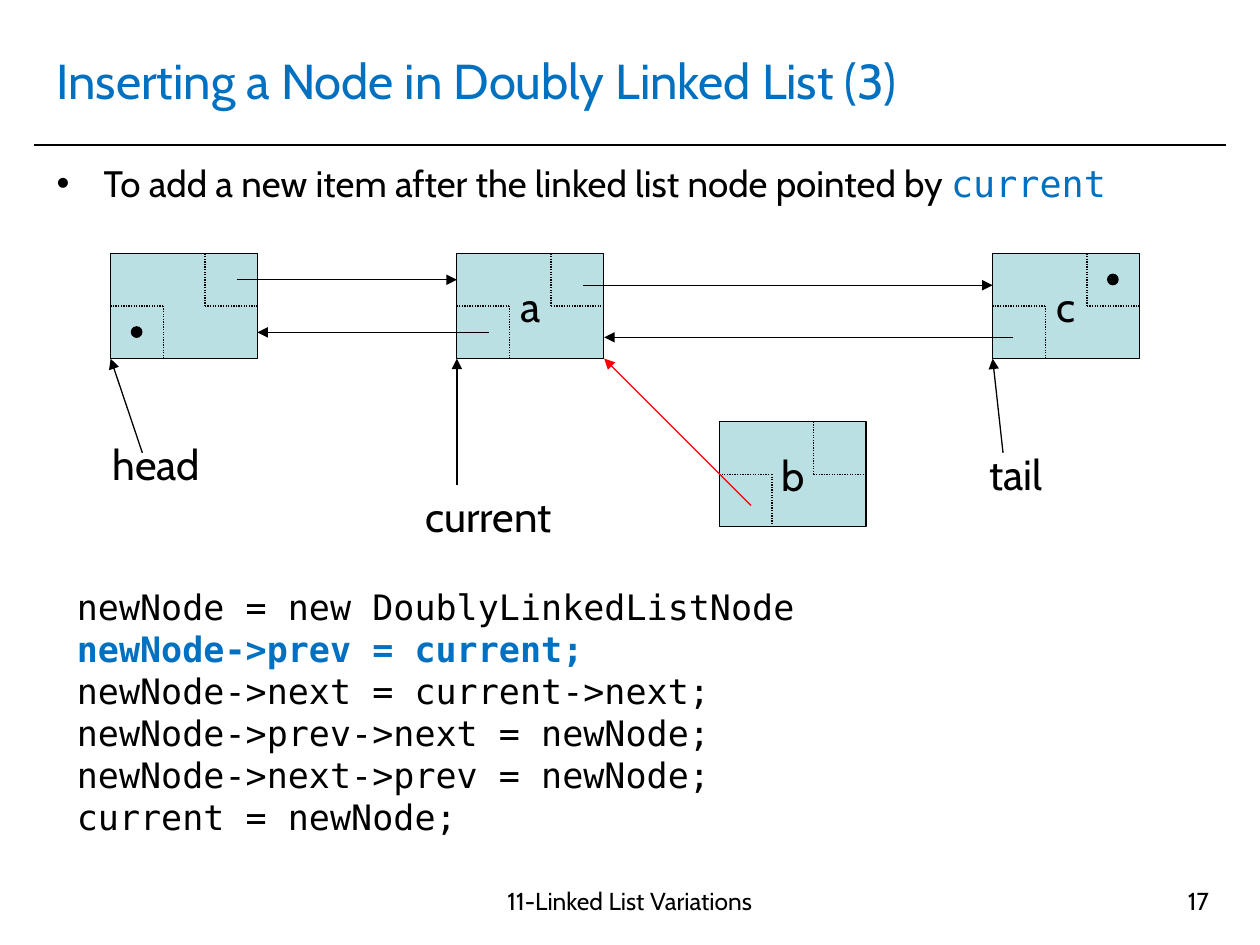
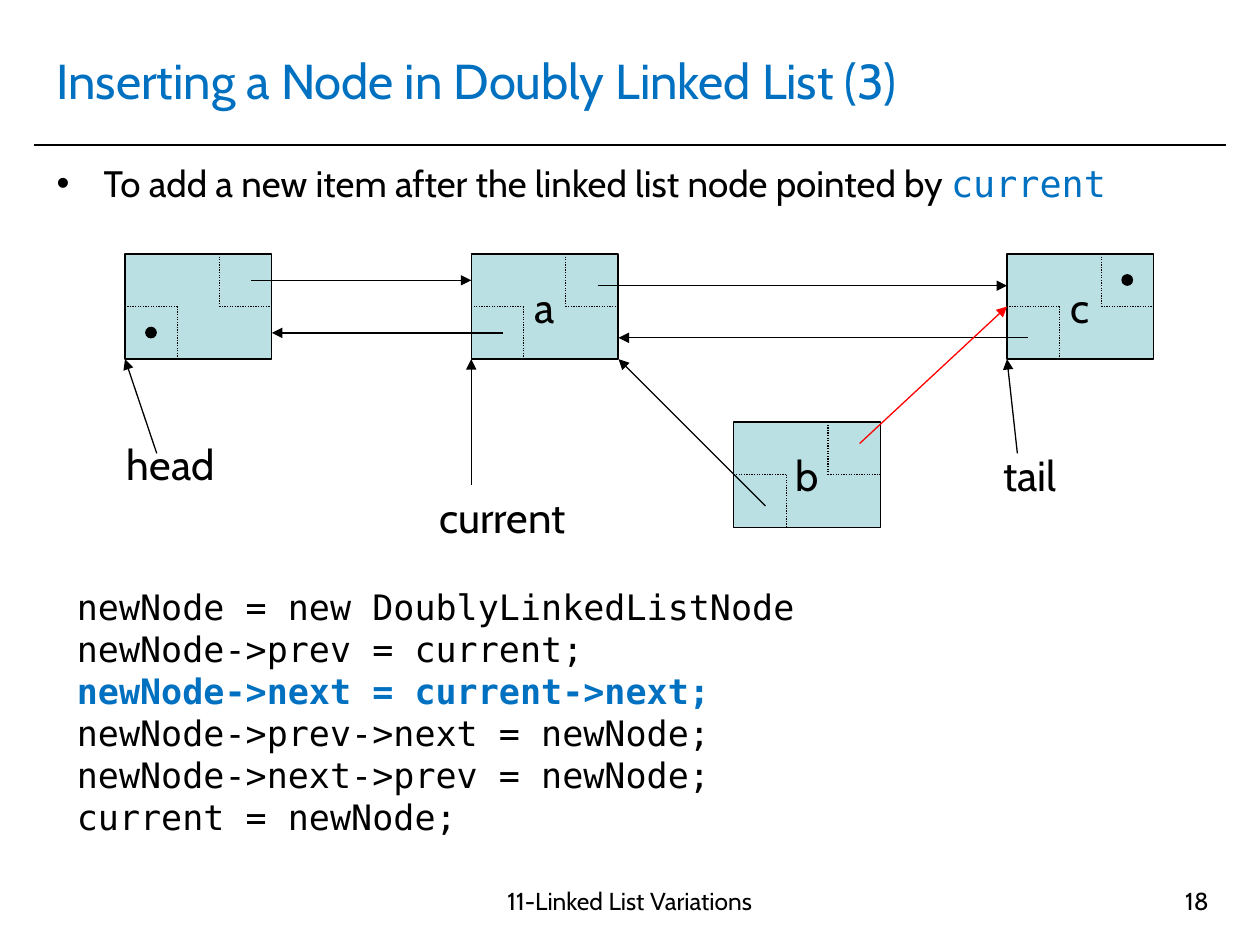
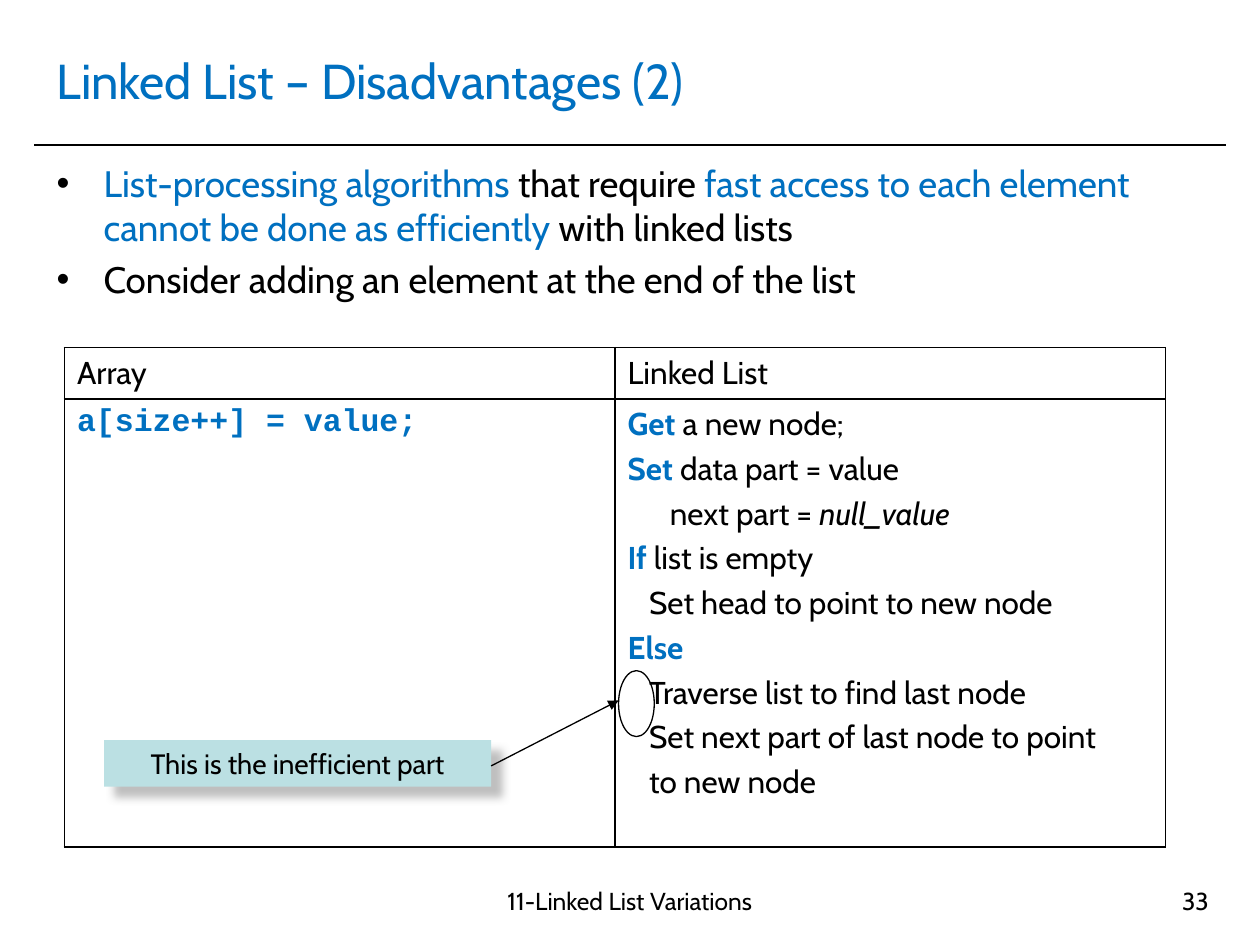
import dataclasses

import pptx
import pptx.dml.color
import pptx.enum.dml
import pptx.enum.shapes
import pptx.enum.text
import pptx.oxml
import pptx.oxml.ns
import pptx.oxml.xmlchemy
import pptx.util

Cm = pptx.util.Cm
Pt = pptx.util.Pt
RGBColor = pptx.dml.color.RGBColor
Shape = pptx.enum.shapes.MSO_SHAPE
Align = pptx.enum.text.PP_ALIGN
Anchor = pptx.enum.text.MSO_ANCHOR

BLACK = RGBColor(0x00, 0x00, 0x00)
WHITE = RGBColor(0xFF, 0xFF, 0xFF)
BLUE = RGBColor(0x00, 0x70, 0xC0)
RED = RGBColor(0xFF, 0x00, 0x00)
NODE_FILL = RGBColor(0xBB, 0xE0, 0xE3)

SANS = "Cabin"
MONO = "DejaVu Sans Mono"
COURIER = "Courier New"

NODE_WIDTH, NODE_HEIGHT, POCKET = 2.96, 2.12, 1.06
NEXT_POCKET_LEFT = 1.9
NODES = {"": (0, 0), "a": (6.98, 0), "c": (17.78, 0), "b": (12.27, 3.39)}
POINTER_LABELS = [("head", -0.21, 3.6, 2.74), ("tail", 17.46, 3.81, 2.2), ("current", 6.09, 4.66, 3.6)]
NULL_DOTS = [(20.1, 0.42), (0.42, 1.48)]
LIST_ARROWS = [
    ((2.54, 0.53), (6.98, 0.53)),
    ((9.53, 0.64), (17.78, 0.64)),
    ((7.62, 1.59), (2.96, 1.59)),
    ((18.2, 1.69), (9.95, 1.69)),
    ((0.64, 4.02), (0, 2.12)),
    ((17.99, 4.02), (17.78, 2.12)),
    ((6.98, 4.66), (6.98, 2.12)),
]
NEW_PREV_ARROW = ((12.91, 5.08), (9.95, 2.12))
NEW_NEXT_ARROW = ((14.81, 3.82), (17.78, 1.06))

CODE = [
    "newNode = new DoublyLinkedListNode",
    "newNode->prev = current;",
    "newNode->next = current->next;",
    "newNode->prev->next = newNode;",
    "newNode->next->prev = newNode;",
    "current = newNode;",
]


@dataclasses.dataclass
class Span:
    """A stretch of text in one style."""

    text: str
    color: RGBColor = BLACK
    font: str = SANS
    bold: bool = False
    italic: bool = False


@dataclasses.dataclass
class Line:
    """A paragraph of spans with its left indent in centimetres."""

    spans: list
    indent: float = 0


def keyword(text):
    """Return a bold blue span."""
    return Span(text, BLUE, bold=True)


def add_xml(parent, tag, **attributes):
    """Append a drawing element to a parent and return it."""
    child = pptx.oxml.xmlchemy.OxmlElement(tag)
    for name, value in attributes.items():
        child.set(name, str(value))
    parent.append(child)
    return child


def write_lines(frame, lines, size, align=Align.LEFT, space=0, bulleted=False):
    """Fill a text frame with styled paragraphs."""
    for index, line in enumerate(lines):
        para = frame.paragraphs[0] if index == 0 else frame.add_paragraph()
        para.alignment = align
        if index:
            para.space_before = Pt(space)
        properties = para._p.get_or_add_pPr()
        if line.indent:
            properties.set("marL", str(Cm(line.indent)))
        if bulleted:
            properties.set("indent", str(-Cm(line.indent)))
            add_xml(add_xml(properties, "a:buClr"), "a:srgbClr", val=BLACK)
            add_xml(properties, "a:buFont", typeface="Arial")
            add_xml(properties, "a:buChar", char="•")
        for span in line.spans:
            run = para.add_run()
            run.text = span.text
            run.font.name = span.font
            run.font.size = Pt(size)
            run.font.bold = span.bold
            run.font.italic = span.italic
            run.font.color.rgb = span.color


def add_text(page, left, top, width, height, lines, size, anchor=Anchor.TOP, **options):
    """Add a wrapped text box."""
    box = page.shapes.add_textbox(Cm(left), Cm(top), Cm(width), Cm(height))
    box.text_frame.word_wrap = True
    box.text_frame.vertical_anchor = anchor
    write_lines(box.text_frame, lines, size, **options)


def add_line(page, start, end, color=BLACK, width=0.75, dotted=False, arrow=False):
    """Add a straight line, optionally dotted or with an arrowhead."""
    points = [Cm(value) for value in (*start, *end)]
    line = page.shapes.add_connector(pptx.enum.shapes.MSO_CONNECTOR.STRAIGHT, *points)
    line.line.color.rgb = color
    line.line.width = Pt(width)
    if dotted:
        line.line.dash_style = pptx.enum.dml.MSO_LINE.ROUND_DOT
    if arrow:
        add_xml(line.line._get_or_add_ln(), "a:tailEnd", type="triangle", w="med", len="med")
    add_xml(line._element.spPr, "a:effectLst")


def add_figure(page, kind, left, top, width, height, fill=None, outlined=True):
    """Add a preset shape with a plain fill and a thin outline."""
    figure = page.shapes.add_shape(kind, Cm(left), Cm(top), Cm(width), Cm(height))
    figure.shadow.inherit = False
    if fill is None:
        figure.fill.background()
    else:
        figure.fill.solid()
        figure.fill.fore_color.rgb = fill
    if outlined:
        figure.line.color.rgb = BLACK
        figure.line.width = Pt(0.75)
    else:
        figure.line.fill.background()
    return figure


def add_page(deck, title, number, bullets):
    """Add a page with its title, rule, bullets and footer."""
    page = deck.slides.add_slide(deck.slide_layouts[6])
    add_line(page, (0.69, 2.92), (24.71, 2.92), width=1)
    add_text(page, 0.89, 0.53, 23.6, 2.16, [Line([Span(title, BLUE)])], 28, Anchor.MIDDLE)
    lines = [Line(spans, 0.95) for spans in bullets]
    add_text(page, 0.89, 3.12, 23.6, 3.4, lines, 21, space=4.2, bulleted=True)
    footer = [Line([Span("11-Linked List Variations")])]
    add_text(page, 8.5, 17.73, 8.4, 1.32, footer, 14, align=Align.CENTER)
    add_text(page, 18.7, 17.73, 5.92, 1.32, [Line([Span(str(number))])], 14, align=Align.RIGHT)
    return page


def add_node(page, left, top, label):
    """Add a list node with its dotted pointer pockets."""
    node = add_figure(page, Shape.RECTANGLE, left, top, NODE_WIDTH, NODE_HEIGHT, NODE_FILL)
    if label:
        node.text_frame.word_wrap = False
        node.text_frame.vertical_anchor = Anchor.MIDDLE
        write_lines(node.text_frame, [Line([Span(label)])], 24, Align.CENTER)
    middle = top + POCKET
    next_left, prev_right = left + NEXT_POCKET_LEFT, left + POCKET
    add_line(page, (next_left, top), (next_left, middle), dotted=True)
    add_line(page, (next_left, middle), (left + NODE_WIDTH, middle), dotted=True)
    add_line(page, (prev_right, top + NODE_HEIGHT), (prev_right, middle), dotted=True)
    add_line(page, (prev_right, middle), (left, middle), dotted=True)


def add_diagram(page, left, top, new_arrows):
    """Draw the doubly linked list, with the newest arrow in red."""

    def place(point):
        return left + point[0], top + point[1]

    for label, corner in NODES.items():
        add_node(page, *place(corner), label)
    for text, label_left, label_top, width in POINTER_LABELS:
        add_text(page, *place((label_left, label_top)), width, 1.27, [Line([Span(text)])], 24)
    for dot in NULL_DOTS:
        add_figure(page, Shape.OVAL, *place(dot), 0.21, 0.21, BLACK)
    for start, end in LIST_ARROWS + new_arrows:
        color = RED if (start, end) == new_arrows[-1] else BLACK
        add_line(page, place(start), place(end), color, arrow=True)


def add_code(page, current_step):
    """List the code with the current step highlighted."""
    lines = [
        Line([Span(text, BLUE if index == current_step else BLACK, MONO, index == current_step)])
        for index, text in enumerate(CODE)
    ]
    add_text(page, 1.3, 11.68, 15.9, 5.38, lines, 20)


def add_insert_page(deck, number, left, top, current_step, new_arrows):
    """Add one step of the node insertion."""
    bullet = [
        Span("To add a new item after the linked list node pointed by "),
        Span("current", BLUE, MONO),
    ]
    page = add_page(deck, "Inserting a Node in Doubly Linked List (3)", number, [bullet])
    add_code(page, current_step)
    add_diagram(page, left, top, new_arrows)


def add_comparison(page, rows, row_heights):
    """Add the bordered comparison table."""
    frame = page.shapes.add_table(
        len(rows), len(rows[0]), Cm(1.3), Cm(7.01), Cm(22.2), Cm(sum(row_heights))
    )
    table = frame.table
    table.first_row = False
    table.horz_banding = False
    for row_index, row in enumerate(rows):
        table.rows[row_index].height = Cm(row_heights[row_index])
        for column_index, lines in enumerate(row):
            cell = table.cell(row_index, column_index)
            write_lines(cell.text_frame, lines, 18, space=3.6)
            properties = cell._tc.get_or_add_tcPr()
            for side in "LRTB":
                border = add_xml(properties, "a:ln" + side, w=Pt(1))
                add_xml(add_xml(border, "a:solidFill"), "a:srgbClr", val=BLACK)
            cell.fill.solid()
            cell.fill.fore_color.rgb = WHITE


def add_callout(page, text):
    """Add a shadowed note pointing at the circled step."""
    add_figure(page, Shape.OVAL, 12.47, 13.52, 0.72, 1.33)
    note = add_figure(page, Shape.RECTANGLE, 2.1, 14.92, 7.8, 0.94, NODE_FILL, outlined=False)
    effects = note._element.spPr.find(pptx.oxml.ns.qn("a:effectLst"))
    shadow = add_xml(effects, "a:outerShdw", blurRad=Pt(5), dist=Pt(8.5), dir=45 * 60000)
    add_xml(add_xml(shadow, "a:srgbClr", val="808080"), "a:alpha", val=50000)
    note.text_frame.vertical_anchor = Anchor.MIDDLE
    write_lines(note.text_frame, [Line([Span(text)])], 16, Align.CENTER)
    add_line(page, (9.9, 15.44), (12.47, 14.12), arrow=True)


def add_disadvantages_page(deck):
    """Compare appending to an array and to a linked list."""
    bullets = [
        [
            Span("List-processing algorithms ", BLUE),
            Span("that require "),
            Span("fast access to each element cannot be done as efficiently ", BLUE),
            Span("with linked lists"),
        ],
        [Span("Consider adding an element at the end of the list")],
    ]
    page = add_page(deck, "Linked List – Disadvantages (2)", 33, bullets)
    steps = [
        Line([keyword("Get"), Span(" a new node;")]),
        Line([keyword("Set "), Span("data part = value")]),
        Line([Span("next part = "), Span("null_value", italic=True)], 0.85),
        Line([keyword("If"), Span(" list is empty")]),
        Line([Span("Set head to point to new node")], 0.43),
        Line([keyword("Else")]),
        Line([Span("Traverse list to find last node")], 0.43),
        Line([Span("Set next part of last node to point")], 0.43),
        Line([Span("to new node")], 0.43),
    ]
    rows = [
        [[Line([Span("Array")])], [Line([Span("Linked List")])]],
        [[Line([Span("a[size++] = value;", BLUE, COURIER, True)])], steps],
    ]
    add_comparison(page, rows, [1.03, 9.03])
    add_callout(page, "This is the inefficient part")


def main():
    """Build and save the deck."""
    deck = pptx.Presentation()
    deck.slide_width = Cm(25.4)
    deck.slide_height = Cm(19.05)
    add_insert_page(deck, 17, 2.23, 5.11, 1, [NEW_PREV_ARROW])
    add_insert_page(deck, 18, 2.52, 5.12, 2, [NEW_PREV_ARROW, NEW_NEXT_ARROW])
    add_disadvantages_page(deck)
    deck.save("out.pptx")


if __name__ == "__main__":
    main()
